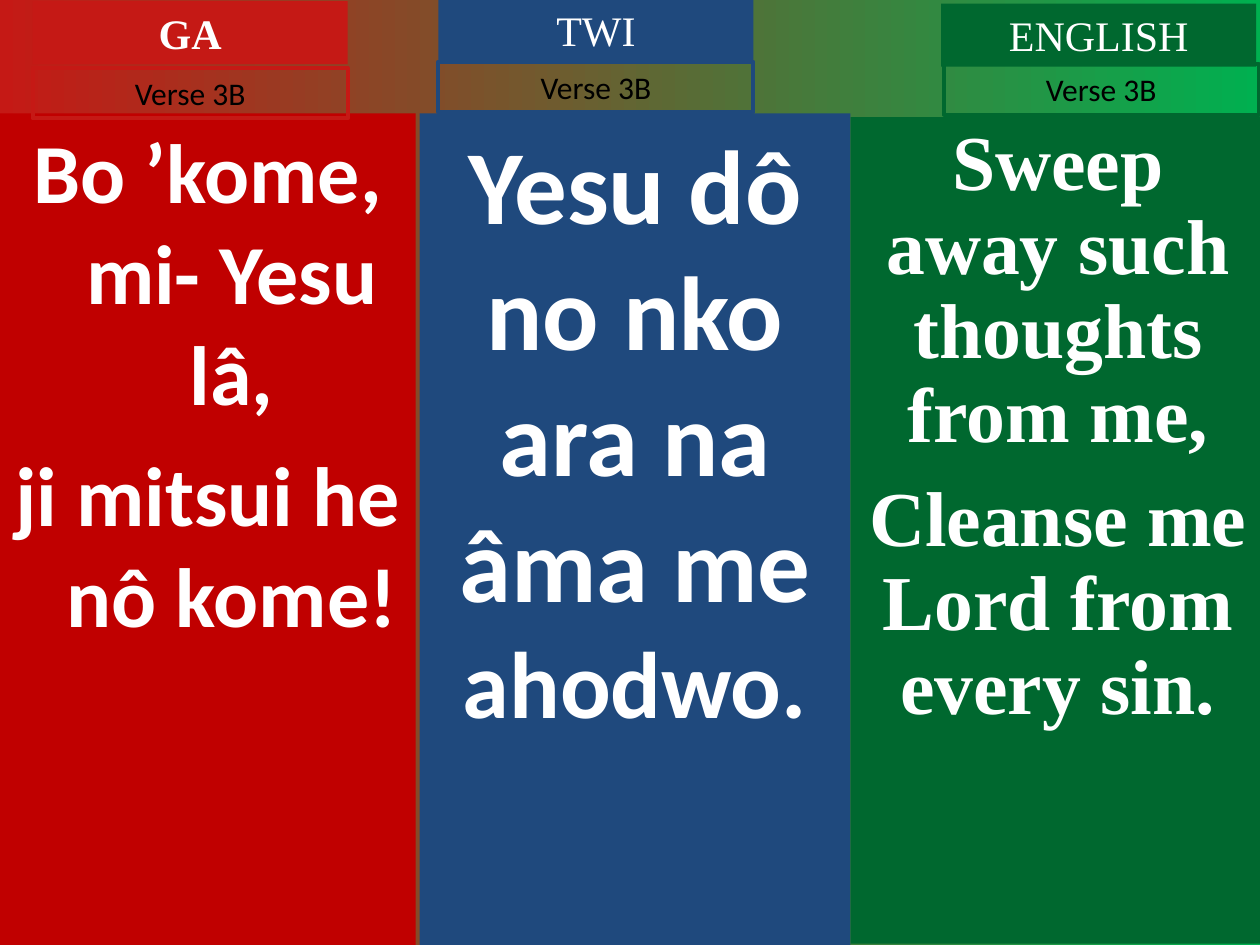
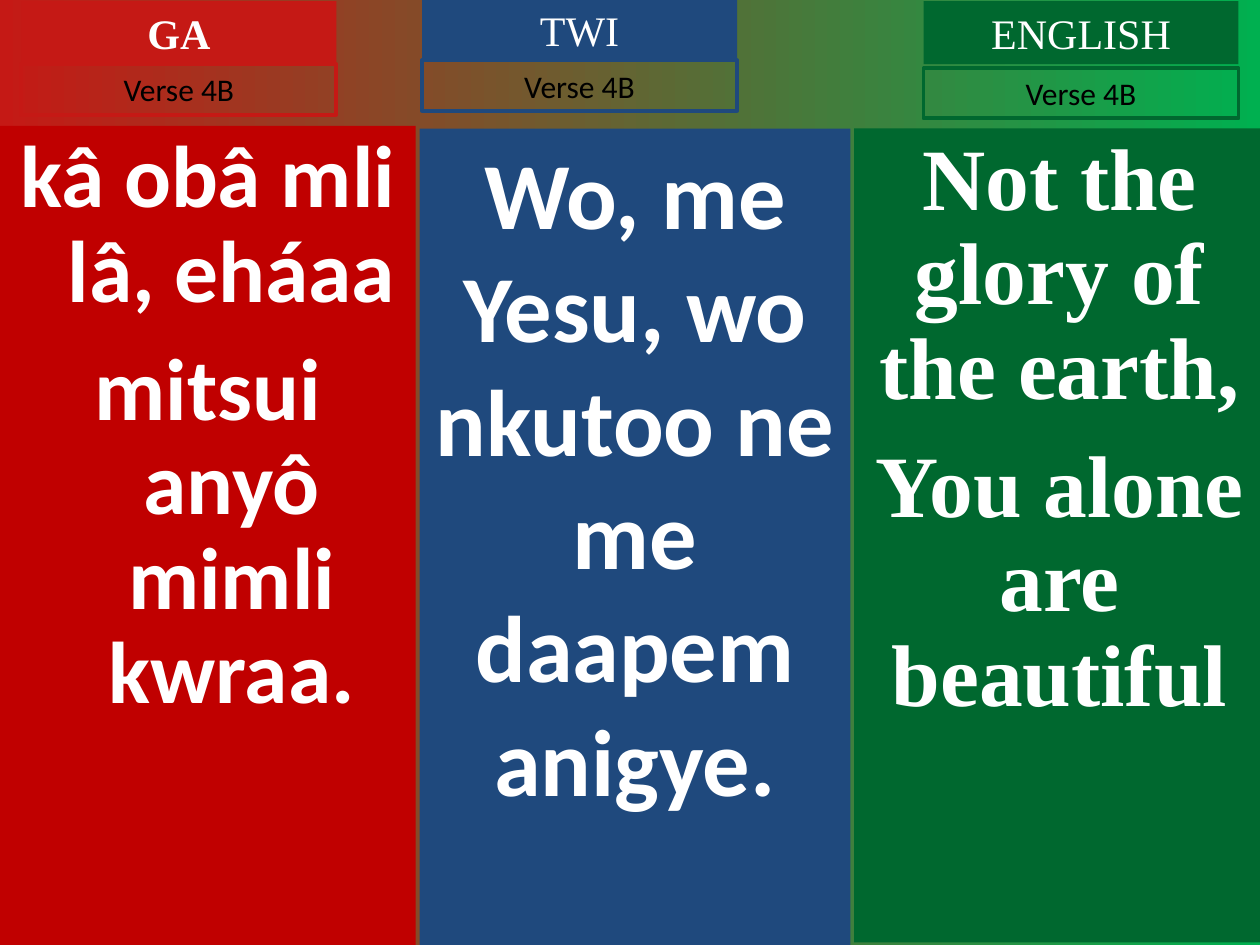
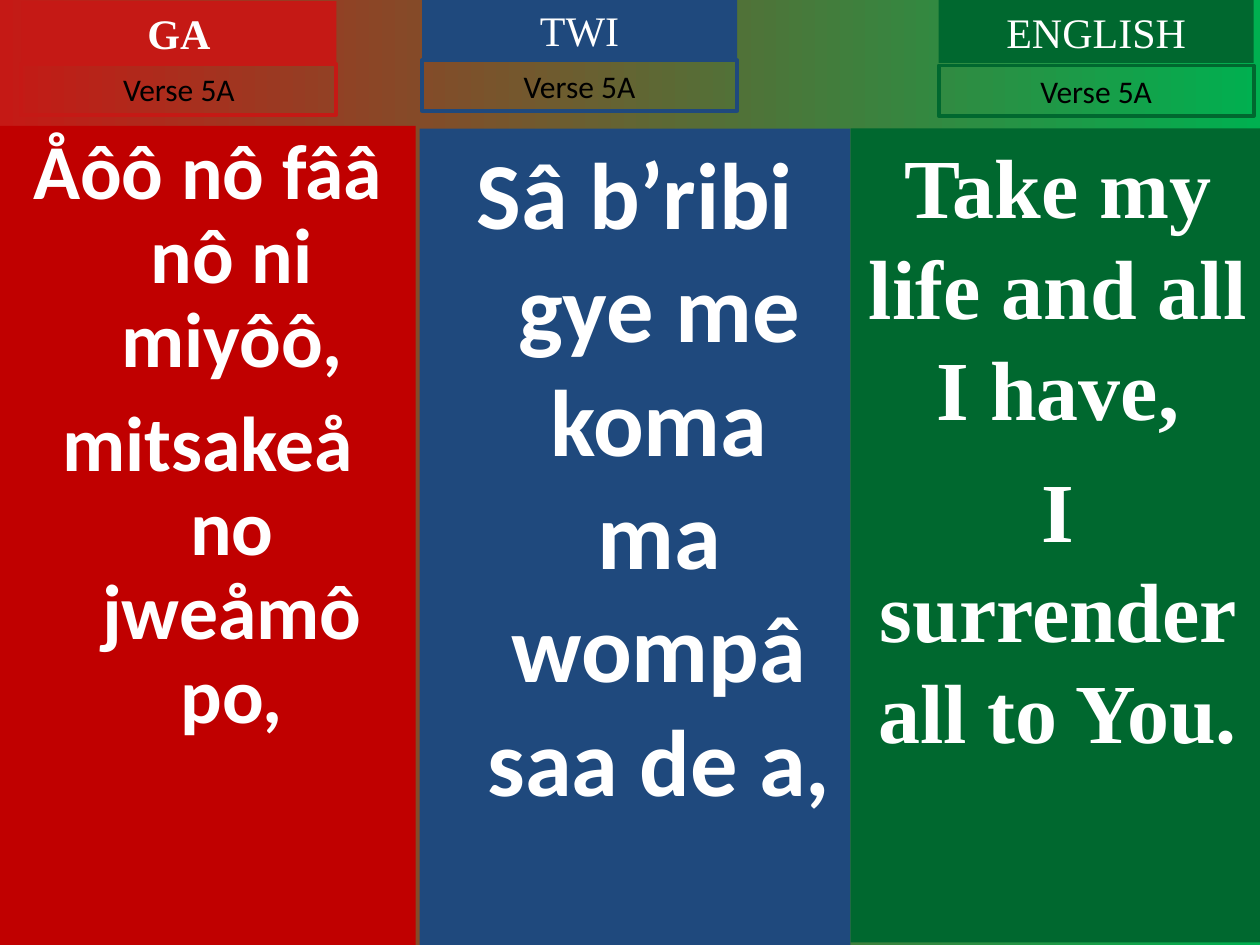
from pptx import Presentation
from pptx import util as u
from pptx.dml import color
from pptx.enum import shapes, text

COLORS = {
    "red": "C51915", "dark red": "C00000", "blue": "1F497D",
    "dark green": "00682F", "green": "00B050",
    "white": "FFFFFF", "black": "000000",
}
SANS, SERIF = "Calibri", "Times New Roman"
HANGING = 0.38
SLIDE_WIDTH, SLIDE_HEIGHT = 10, 7.5
LABEL_WIDTH, LABEL_HEIGHT, VERSE_HEIGHT = 2.5, 0.5, 0.4

LANGUAGES = [
    {"name": "GA", "label": "red", "panel": "dark red", "font": SANS, "bold": True},
    {"name": "TWI", "label": "blue", "panel": "blue", "font": SANS, "bold": False},
    {"name": "ENGLISH", "label": "dark green", "panel": "dark green", "font": SERIF, "bold": False},
]

VERSES = [
    ("Verse 3B", [
        {"panel": (0, 0.9, 3.3, 6.6), "label": (0.26, 0.01), "verse": (0.26, 0.54),
         "size": 48, "spacing": 1, "before": 12, "indent": HANGING,
         "lines": [["Bo ’kome, mi- Yesu lâ,"], ["ji mitsui he nô kome!"]]},
        {"panel": (3.33, 0.9, 3.42, 6.6), "label": (3.48, -0.01), "verse": (3.48, 0.49),
         "size": 60, "last size": 54, "spacing": 1, "before": 0, "indent": 0,
         "lines": [["Yesu dô no nko ara na âma me ", "ahodwo."]]},
        {"panel": (6.75, 0.93, 3.29, 6.56), "label": (7.47, 0.03), "verse": (7.49, 0.51),
         "size": 44.4, "spacing": 0.9, "before": 12, "indent": 0,
         "lines": [["Sweep away such thoughts from me,"], ["Cleanse me Lord from every sin."]]},
    ]),
    ("Verse 4B", [
        {"panel": (0, 1, 3.3, 6.5), "label": (0.17, 0.01), "verse": (0.17, 0.51),
         "size": 50, "spacing": 0.9, "before": 13.5, "indent": HANGING,
         "lines": [["kâ obâ mli lâ, eháaa"], ["mitsui anyô mimli kwraa."]]},
        {"panel": (3.33, 1.02, 3.42, 6.48), "label": (3.35, -0.01), "verse": (3.35, 0.48),
         "size": 54, "spacing": 1, "before": 0, "indent": 0,
         "lines": [["Wo, me Yesu, wo nkutoo ne me daapem anigye."]]},
        {"panel": (6.78, 1.02, 3.26, 6.46), "label": (7.33, 0.01), "verse": (7.33, 0.54),
         "size": 50, "spacing": 0.9, "before": 13.5, "indent": 0,
         "lines": [["Not the glory of the earth,"], ["You alone are beautiful"]]},
    ]),
    ("Verse 5A", [
        {"panel": (0, 1, 3.3, 6.5), "label": (0.17, 0.01), "verse": (0.17, 0.51),
         "size": 44.4, "spacing": 0.9, "before": 12, "indent": HANGING,
         "lines": [["Åôô nô fââ nô ni miyôô,"], ["mitsakeå no jweåmô po,"]]},
        {"panel": (3.33, 1.02, 3.42, 6.48), "label": (3.35, -0.01), "verse": (3.35, 0.48),
         "size": 54, "spacing": 1, "before": 0, "indent": HANGING,
         "lines": [["Sâ b’ribi gye me koma ma wompâ saa de a,"]]},
        {"panel": (6.75, 1.02, 3.29, 6.46), "label": (7.45, 0), "verse": (7.45, 0.52),
         "size": 48, "spacing": 1, "before": 12, "indent": 0,
         "lines": [["Take my life and all I have,"], ["I surrender all to You."]]},
    ]),
]


def add_box(slide, place, fill=None, line=None):
    shape = slide.shapes.add_shape(shapes.MSO_SHAPE.RECTANGLE, *map(u.Inches, place))
    shape.shadow.inherit = False
    if fill:
        shape.fill.solid()
        shape.fill.fore_color.rgb = color.RGBColor.from_string(COLORS[fill])
    else:
        shape.fill.background()
    if line:
        shape.line.color.rgb = color.RGBColor.from_string(COLORS[line])
        shape.line.width = u.Pt(2.25)
    else:
        shape.line.fill.background()
    shape.text_frame.word_wrap = True
    shape.text_frame.vertical_anchor = text.MSO_ANCHOR.TOP
    return shape


def write(paragraph, parts, size, font_name, font_color, bold):
    paragraph.alignment = text.PP_ALIGN.CENTER
    for part in parts:
        run = paragraph.add_run()
        run.text = part
        run.font.size = u.Pt(size)
        run.font.name = font_name
        run.font.bold = bold
        run.font.color.rgb = color.RGBColor.from_string(COLORS[font_color])


presentation = Presentation()
presentation.slide_width = u.Inches(SLIDE_WIDTH)
presentation.slide_height = u.Inches(SLIDE_HEIGHT)

background = presentation.slide_master.background.fill
background.gradient()
background.gradient_angle = 0
for stop, name in zip(background.gradient_stops, ("red", "green")):
    stop.color.rgb = color.RGBColor.from_string(COLORS[name])

for verse_name, columns in VERSES:
    slide = presentation.slides.add_slide(presentation.slide_layouts[6])
    for language, column in zip(LANGUAGES, columns):
        panel = add_box(slide, column["panel"], fill=language["panel"])
        for index, parts in enumerate(column["lines"]):
            frame = panel.text_frame
            paragraph = frame.add_paragraph() if index else frame.paragraphs[0]
            write(paragraph, parts, column["size"], language["font"], "white", True)
            paragraph.line_spacing = column["spacing"]
            if index:
                paragraph.space_before = u.Pt(column["before"])
            if column["indent"]:
                properties = paragraph._p.get_or_add_pPr()
                properties.set("marL", str(u.Inches(column["indent"])))
                properties.set("indent", str(-u.Inches(column["indent"])))
        if "last size" in column:
            paragraph.runs[-1].font.size = u.Pt(column["last size"])

        label = add_box(slide, (*column["label"], LABEL_WIDTH, LABEL_HEIGHT), fill=language["label"])
        write(label.text_frame.paragraphs[0], [language["name"]], 24, SERIF, "white", language["bold"])
        verse = add_box(slide, (*column["verse"], LABEL_WIDTH, VERSE_HEIGHT), line=language["label"])
        write(verse.text_frame.paragraphs[0], [verse_name], 18, SANS, "black", False)
        for shape in (label, verse):
            shape.text_frame.auto_size = text.MSO_AUTO_SIZE.SHAPE_TO_FIT_TEXT

presentation.save("out.pptx")
